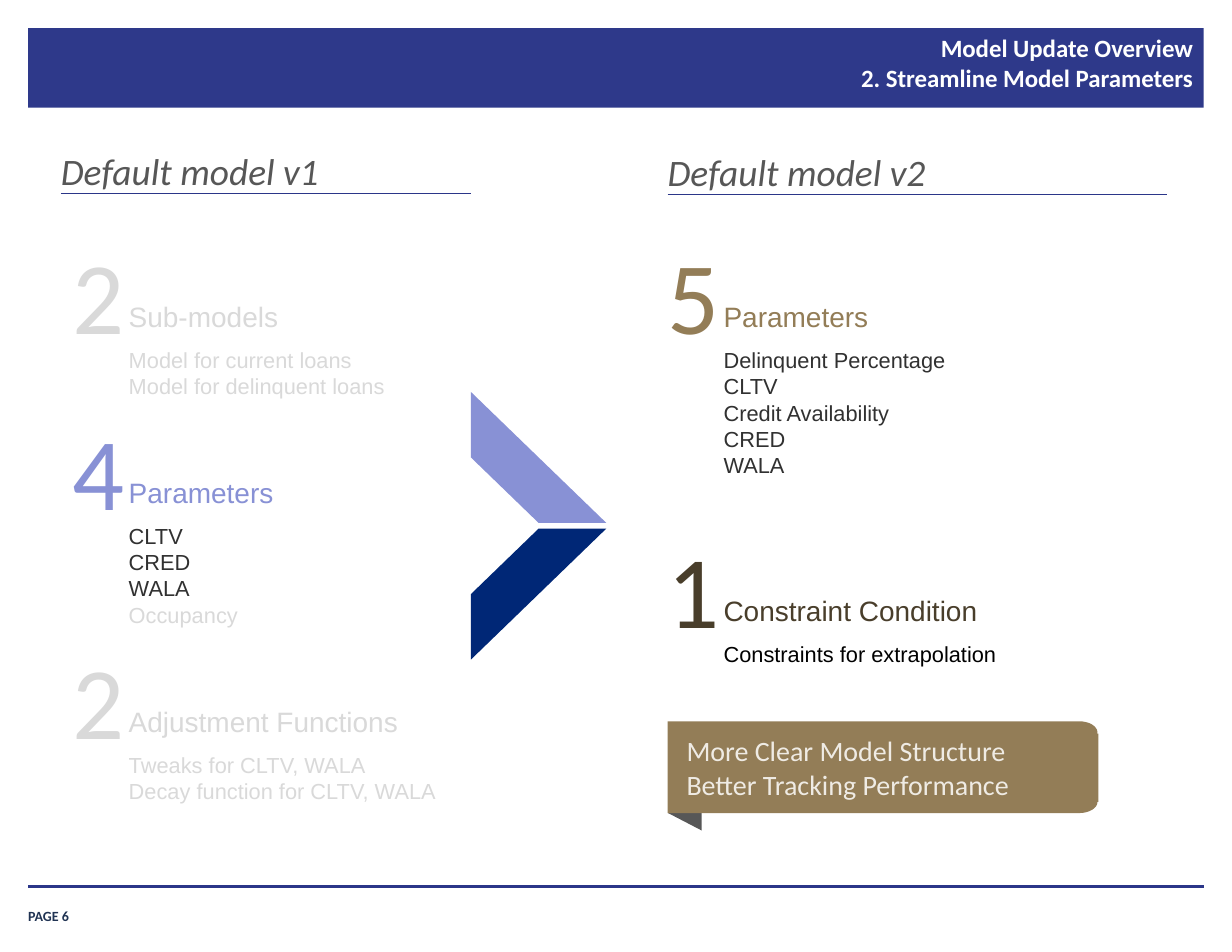
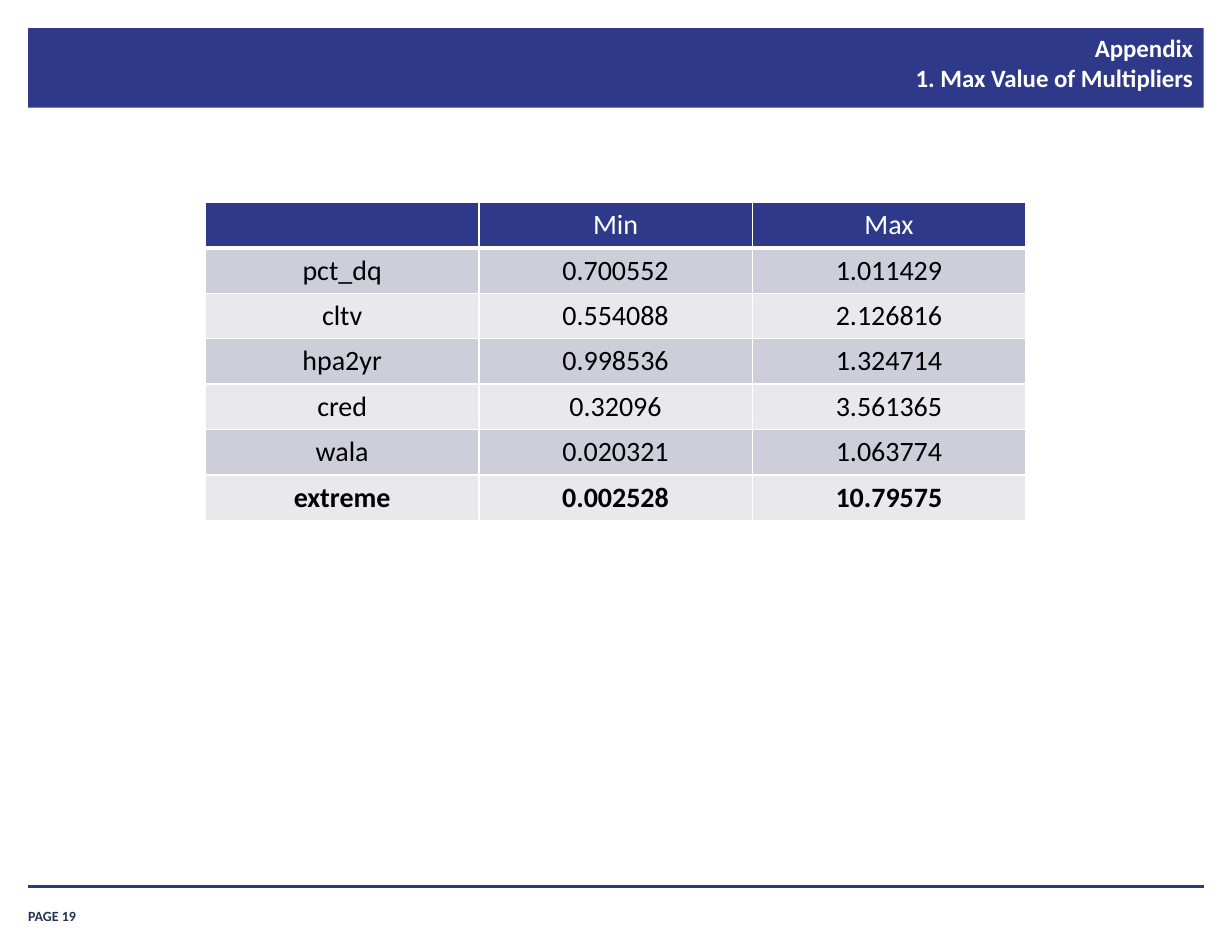
from copy import deepcopy
from math import cos, pi, sin

from lxml.etree import SubElement
from pptx import Presentation
from pptx.dml.color import RGBColor
from pptx.enum.shapes import MSO_CONNECTOR, MSO_SHAPE
from pptx.enum.text import MSO_ANCHOR, MSO_AUTO_SIZE, PP_ALIGN
from pptx.oxml.ns import qn
from pptx.util import Cm, Pt

# Shared colours
BAND, RULE, WHITE, BLACK = "2E398A", "2B3689", "FFFFFF", "000000"
FADED, GREY, DARK = "D9D9D9", "575757", "313131"
LAVENDER, NAVY, TAN, BROWN = "8891D5", "002776", "937D57", "493E2B"
STRIPES = ("CDCEDA", "E8E8ED")

# Shared page frame, in cm
MARGIN, PAGE_W, PAGE_H = 0.64, 27.94, 21.59
LEFT_COL, RIGHT_COL = 1.65, 15.14


def rgb(hex_color):
    return RGBColor.from_string(hex_color)


def write_paragraph(paragraph, text, size=18, color=BLACK, font="Calibri", bold=False,
                    italic=False, align=PP_ALIGN.LEFT):
    paragraph.text = text
    paragraph.alignment = align
    for run in paragraph.runs:
        run.font.size = Pt(size)
        run.font.name = font
        run.font.bold = bold
        run.font.italic = italic
        run.font.color.rgb = rgb(color)
    # Line breaks take the format of the text around them
    for line_break in paragraph._p.findall(qn("a:br")):
        line_break.append(deepcopy(paragraph.runs[0]._r.rPr))


def write(frame, lines, color=BLACK, anchor=MSO_ANCHOR.TOP, inset=(0, 0), faded=(), **style):
    """Fill a text frame; inset is (horizontal, vertical) in cm."""
    frame.word_wrap = True
    frame.auto_size = MSO_AUTO_SIZE.NONE
    frame.vertical_anchor = anchor
    frame.margin_left = frame.margin_right = Cm(inset[0])
    frame.margin_top = frame.margin_bottom = Cm(inset[1])
    for i, text in enumerate(lines):
        paragraph = frame.paragraphs[0] if i == 0 else frame.add_paragraph()
        write_paragraph(paragraph, text, color=FADED if text in faded else color, **style)


def add_text(slide, lines, left, top, width, height, **style):
    box = slide.shapes.add_textbox(Cm(left), Cm(top), Cm(width), Cm(height))
    write(box.text_frame, lines, **style)


def paint(shape, color):
    shape.shadow.inherit = False
    shape.fill.solid()
    shape.fill.fore_color.rgb = rgb(color)
    shape.line.fill.background()
    return shape


def add_block(slide, kind, left, top, width, height, color):
    return paint(slide.shapes.add_shape(kind, Cm(left), Cm(top), Cm(width), Cm(height)), color)


def add_rule(slide, left, top, length, weight):
    rule = slide.shapes.add_connector(
        MSO_CONNECTOR.STRAIGHT, Cm(left), Cm(top), Cm(left + length), Cm(top))
    rule.line.color.rgb = rgb(RULE)
    rule.line.width = Pt(weight)
    SubElement(rule.element.spPr, qn("a:effectLst"))


def add_page(prs, title_text, page):
    slide = prs.slides.add_slide(prs.slide_layouts[5])
    width = PAGE_W - 2 * MARGIN
    add_block(slide, MSO_SHAPE.RECTANGLE, MARGIN, MARGIN, width, 1.8, BAND)
    add_text(slide, [f"PAGE {page}"], MARGIN, 20.38, 2.3, 0.58, size=9, color="203353",
             bold=True, anchor=MSO_ANCHOR.BOTTOM)
    add_rule(slide, MARGIN, 20.11, width, 2)
    title = slide.shapes.title
    title.left, title.top, title.width, title.height = Cm(8.44), Cm(0.6), Cm(18.9), Cm(1.88)
    write(title.text_frame, [title_text], size=16, color=WHITE, bold=True,
          align=PP_ALIGN.RIGHT, inset=(0.28, 0.14))
    # Bring the title in front of the band
    title.element.getparent().append(title.element)
    return slide


def add_heading(slide, text, left, rule_top, length):
    add_text(slide, [text], left, rule_top - 1.04, length, 1.02, size=24, color=GREY, italic=True)
    add_rule(slide, left, rule_top, length, 0.75)


def add_count(slide, left, top, count, label, details, color, detail_color=DARK, faded=()):
    """A large numeral with its label and a list of details."""
    text_left, width, inset = left + 1.02, 7.52, (0.25, 0.13)
    add_text(slide, [count], left, top, 1.02, 2.82, size=66, color=color, align=PP_ALIGN.CENTER)
    add_text(slide, [label], text_left, top + 1.41, width, 1.02, color=color,
             font="Arial", inset=inset)
    add_text(slide, details, text_left, top + 2.48, width, 0.25 + 0.6 * len(details), size=14,
             color=detail_color, font="Arial", inset=inset, faded=faded)


def add_chevron(slide, left, top):
    width, height, pitch = 3.07, 2.97, 3.1
    add_block(slide, MSO_SHAPE.DIAGONAL_STRIPE, left, top + pitch, width, height, NAVY)
    upper = add_block(slide, MSO_SHAPE.DIAGONAL_STRIPE, left, top, width, height, LAVENDER)
    upper.element.spPr.find(qn("a:xfrm")).set("flipV", "1")


def add_banner(slide, lines, left, top, width, height):
    fold = add_block(slide, MSO_SHAPE.ISOSCELES_TRIANGLE, left, top + 1.7, 0.79, 0.76, GREY)
    fold.rotation = 270
    # Ribbon with rounded right corners
    rx, ry, steps = 0.41, 0.25, 8
    right, bottom = left + width, top + height
    angles = [pi / 2 * i / steps for i in range(steps + 1)]
    upper = [(right - rx + rx * sin(a), top + ry - ry * cos(a)) for a in angles]
    lower = [(right - rx + rx * cos(a), bottom - ry + ry * sin(a)) for a in angles]
    outline = [(Cm(x), Cm(y)) for x, y in upper + lower + [(left, bottom)]]
    builder = slide.shapes.build_freeform(Cm(left), Cm(top))
    builder.add_line_segments(outline, close=True)
    paint(builder.convert_to_shape(), TAN)
    message = add_block(slide, MSO_SHAPE.RECTANGLE, left + 0.43, top + 0.28, width - 0.41, 1.55, TAN)
    write(message.text_frame, lines, color="EFEBE4")


def set_borders(cell, **weights):
    tc_pr = cell._tc.get_or_add_tcPr()
    for side in "LRTB":
        line = SubElement(tc_pr, qn(f"a:ln{side}"), w=str(Pt(weights.get(side, 1))))
        fill = SubElement(line, qn("a:solidFill"))
        SubElement(fill, qn("a:srgbClr"), val=WHITE)


def add_multipliers(slide, rows, left, top, col_width, row_height):
    columns = len(rows[0])
    table = slide.shapes.add_table(
        len(rows), columns, Cm(left), Cm(top),
        Cm(col_width * columns), Cm(row_height * len(rows))).table
    for r, values in enumerate(rows):
        header, last = r == 0, r == len(rows) - 1
        for c, value in enumerate(values):
            cell = table.cell(r, c)
            set_borders(cell, B=3 if header else 1, T=3 if r == 1 else 1)
            cell.fill.solid()
            cell.fill.fore_color.rgb = rgb(BAND if header else STRIPES[(r - 1) % 2])
            cell.vertical_anchor = MSO_ANCHOR.MIDDLE
            write_paragraph(cell.text_frame.paragraphs[0], value, bold=last,
                            color=WHITE if header else BLACK, align=PP_ALIGN.CENTER)


def build_parameters(prs):
    slide = add_page(prs, "Model Update Overview\n2. Streamline Model Parameters", 6)

    # Version 1
    add_heading(slide, "Default model v1", 1.38, 4.39, 9.3)
    add_count(slide, LEFT_COL, 5.26, "2", "Sub-models",
              ["Model for current loans", "Model for delinquent loans"], FADED, FADED)
    add_count(slide, LEFT_COL, 9.25, "4", "Parameters",
              ["CLTV", "CRED", "WALA", "Occupancy"], LAVENDER, faded=("Occupancy",))
    add_count(slide, LEFT_COL, 14.44, "2", "Adjustment Functions",
              ["Tweaks for CLTV, WALA", "Decay function for CLTV, WALA"], FADED, FADED)

    add_chevron(slide, 10.68, 8.89)

    # Version 2
    add_heading(slide, "Default model v2", RIGHT_COL, 4.42, 11.33)
    add_count(slide, RIGHT_COL, 5.26, "5", "Parameters",
              ["Delinquent Percentage", "CLTV", "Credit Availability", "CRED", "WALA"], TAN)
    add_count(slide, RIGHT_COL, 11.92, "1", "Constraint Condition",
              ["Constraints for extrapolation"], BROWN, BLACK)
    add_banner(slide, ["More Clear Model Structure", "Better Tracking Performance"],
               RIGHT_COL, 16.36, 9.75, 2.08)


def build_appendix(prs):
    slide = add_page(prs, "Appendix\n1. Max Value of Multipliers", 19)
    add_multipliers(slide, [
        ("", "Min", "Max"),
        ("pct_dq", "0.700552", "1.011429"),
        ("cltv", "0.554088", "2.126816"),
        ("hpa2yr", "0.998536", "1.324714"),
        ("cred", "0.32096", "3.561365"),
        ("wala", "0.020321", "1.063774"),
        ("extreme", "0.002528", "10.79575"),
    ], 4.66, 4.59, 6.2, 1.03)


def main():
    prs = Presentation()
    prs.slide_width, prs.slide_height = Cm(PAGE_W), Cm(PAGE_H)
    build_parameters(prs)
    build_appendix(prs)
    prs.save("out.pptx")


if __name__ == "__main__":
    main()
